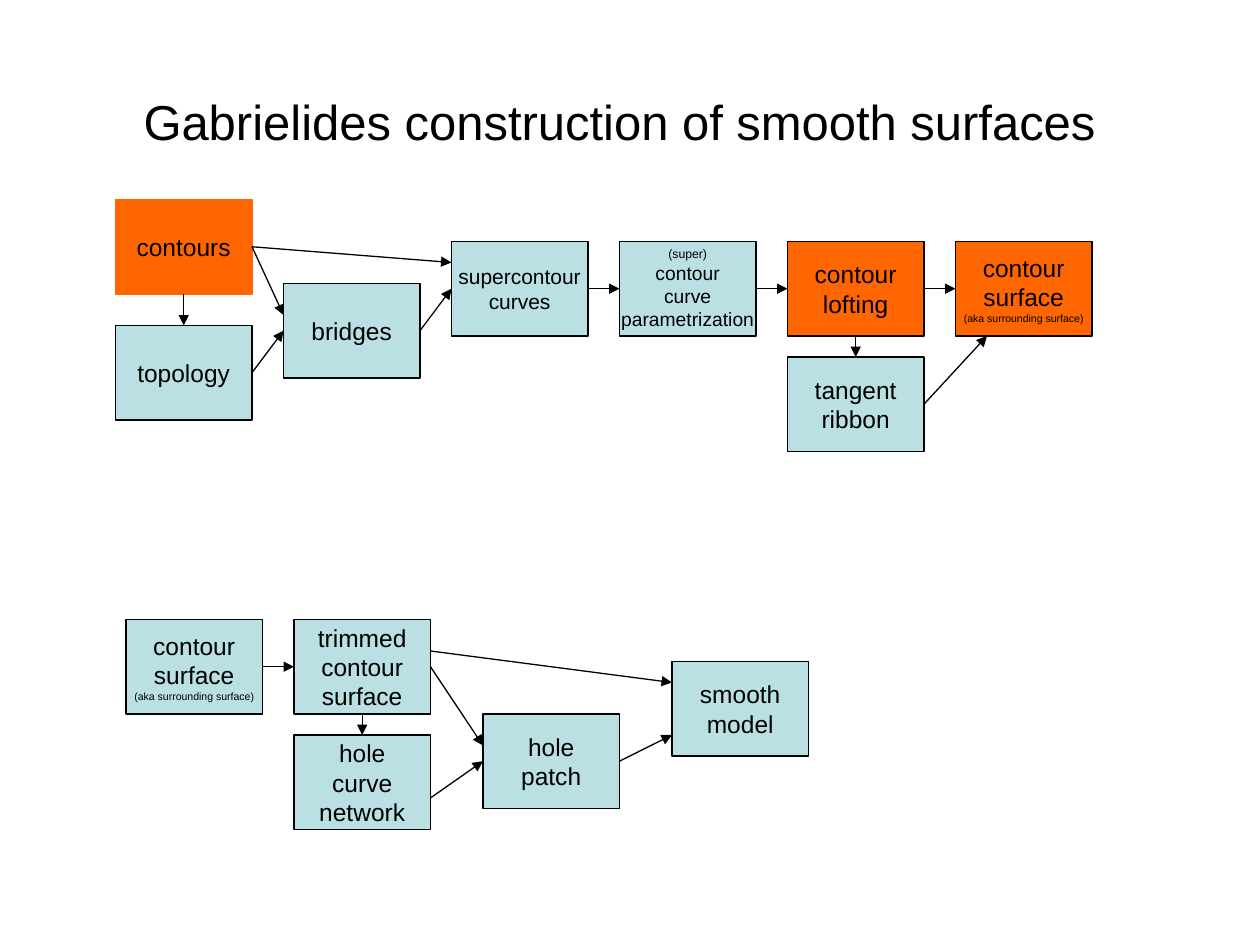
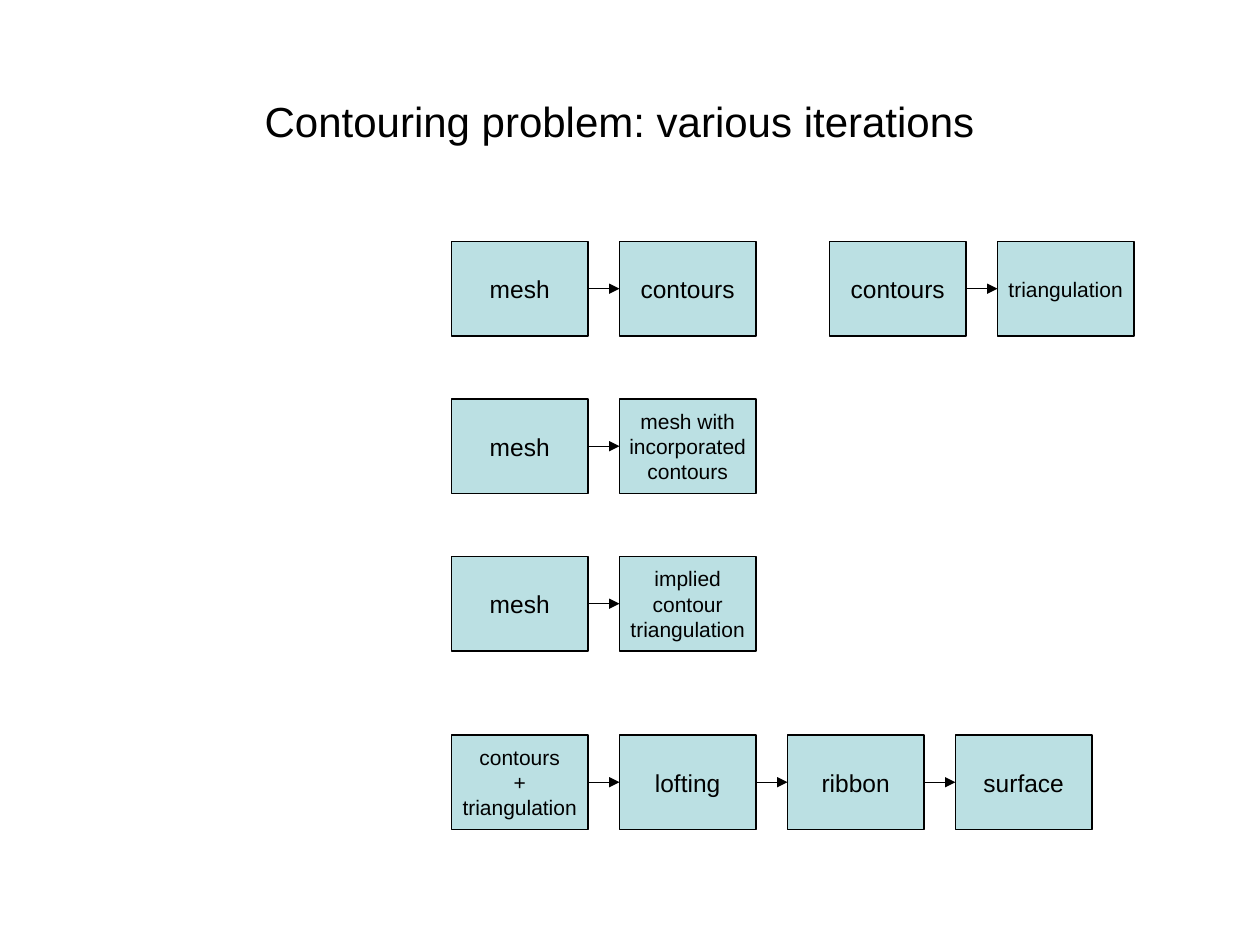
from dataclasses import dataclass
from itertools import pairwise

from lxml.etree import SubElement
from pptx import Presentation
from pptx.dml.color import RGBColor
from pptx.enum.shapes import MSO_CONNECTOR, MSO_SHAPE
from pptx.enum.text import MSO_ANCHOR, PP_ALIGN
from pptx.oxml.ns import qn
from pptx.util import Inches, Pt


@dataclass(frozen=True)
class Theme:
    font: str = "Arial"
    ink: str = "000000"
    pale: str = "BBE0E3"
    hot: str = "FF6600"
    stroke: float = 0.75
    large: int = 14
    mid: int = 12
    small: int = 11
    note: int = 7
    tiny: int = 6


THEME = Theme()

# The slide is a grid of 120 columns by 90 rows
WIDTH, HEIGHT = Inches(10), Inches(7.5)
UNIT = WIDTH // 120
BOX_W, BOX_H, PITCH = 13, 9, 16
TOP, LEFT, BOTTOM, RIGHT = range(4)


@dataclass(frozen=True)
class Label:
    lines: list
    fill: str = THEME.pale
    edge: str = THEME.ink


def lines(*words, size=THEME.large):
    return [(word, size) for word in words]


def plain(*words, size=THEME.large):
    return Label(lines(*words, size=size))


def tint(code):
    return RGBColor.from_string(code)


# Text
def write(frame, rows):
    frame.vertical_anchor = MSO_ANCHOR.MIDDLE
    for i, (words, size) in enumerate(rows):
        para = frame.add_paragraph() if i else frame.paragraphs[0]
        para.alignment = PP_ALIGN.CENTER
        run = para.add_run()
        run.text = words
        run.font.name = THEME.font
        run.font.size = Pt(size)
        run.font.color.rgb = tint(THEME.ink)


def add_title(slide, words, size):
    frame = slide.shapes.add_textbox(
        8 * UNIT, 4 * UNIT, 102 * UNIT, 15 * UNIT).text_frame
    frame.word_wrap = True
    write(frame, lines(words, size=size))


# Boxes
def add_box(slide, col, row, label):
    box = slide.shapes.add_shape(
        MSO_SHAPE.RECTANGLE, col * UNIT, row * UNIT, BOX_W * UNIT, BOX_H * UNIT)
    box.shadow.inherit = False
    box.fill.solid()
    box.fill.fore_color.rgb = tint(label.fill)
    box.line.color.rgb = tint(label.edge)
    box.line.width = Pt(THEME.stroke)
    box.text_frame.word_wrap = False
    write(box.text_frame, label.lines)
    return box


# Arrows: an end is a (box, side) to join or a (column, row) point
def is_joint(end):
    return not isinstance(end[0], int)


def locate(end):
    if not is_joint(end):
        return end[0] * UNIT, end[1] * UNIT
    box, side = end
    x, y = {TOP: (0.5, 0), LEFT: (0, 0.5), BOTTOM: (0.5, 1), RIGHT: (1, 0.5)}[side]
    return int(box.left + x * box.width), int(box.top + y * box.height)


def add_arrow(slide, tail, head):
    arrow = slide.shapes.add_connector(
        MSO_CONNECTOR.STRAIGHT, *locate(tail), *locate(head))
    if is_joint(tail):
        arrow.begin_connect(*tail)
    if is_joint(head):
        arrow.end_connect(*head)
    arrow.line.color.rgb = tint(THEME.ink)
    arrow.line.width = Pt(THEME.stroke)
    SubElement(arrow.line._get_or_add_ln(), qn("a:tailEnd"), type="triangle")
    SubElement(arrow._element.spPr, qn("a:effectLst"))


def add_chain(slide, col, row, *labels):
    boxes = [add_box(slide, col + i * PITCH, row, label)
             for i, label in enumerate(labels)]
    for one, two in pairwise(boxes):
        add_arrow(slide, (one, RIGHT), (two, LEFT))
    return boxes


def draw_build(slide):
    add_title(slide, "Gabrielides construction of smooth surfaces", 28)
    around = lines("contour", "surface") + lines(
        "(aka surrounding surface)", size=THEME.tiny)
    param = lines("(super)", size=THEME.note) + lines(
        "contour", "curve", "parametrization", size=THEME.small)

    # From contours to the contour surface
    source = add_box(slide, 11, 19, Label(lines("contours"), THEME.hot, THEME.hot))
    layout = add_box(slide, 11, 31, plain("topology"))
    bridge = add_box(slide, 27, 27, plain("bridges"))
    curves, _, loft, _ = add_chain(
        slide, 43, 23,
        plain("supercontour", "curves", size=THEME.mid),
        Label(param),
        Label(lines("contour", "lofting"), THEME.hot),
        Label(around, THEME.hot))
    ribbon = add_box(slide, 75, 34, plain("tangent", "ribbon"))

    # From the contour surface to the smooth model
    _, trim = add_chain(slide, 12, 59, Label(around),
                        plain("trimmed", "contour", "surface"))
    net = add_box(slide, 28, 70, plain("hole", "curve", "network"))
    patch = add_box(slide, 46, 68, plain("hole", "patch"))
    add_box(slide, 64, 63, plain("smooth", "model"))

    for tail, head in (
        ((source, BOTTOM), (layout, TOP)),
        ((source, RIGHT), (27, 30)),
        ((source, RIGHT), (43, 25)),
        ((layout, RIGHT), (bridge, LEFT)),
        ((bridge, RIGHT), (curves, LEFT)),
        ((loft, BOTTOM), (ribbon, TOP)),
        ((ribbon, RIGHT), (94, 32)),
        ((trim, BOTTOM), (net, TOP)),
        ((trim, RIGHT), (46, 71)),
        ((41, 62), (64, 65)),
        ((41, 76), (patch, LEFT)),
        ((patch, RIGHT), (64, 70)),
    ):
        add_arrow(slide, tail, head)


def draw_tries(slide):
    add_title(slide, "Contouring problem: various iterations", 24)
    mesh, mid = plain("mesh"), THEME.mid
    add_chain(slide, 43, 23, mesh, plain("contours"))
    add_chain(slide, 79, 23, plain("contours"), plain("triangulation", size=mid))
    add_chain(slide, 43, 38, mesh,
              plain("mesh with", "incorporated", "contours", size=mid))
    add_chain(slide, 43, 53, mesh,
              plain("implied", "contour", "triangulation", size=mid))
    add_chain(slide, 43, 70, plain("contours", "+", "triangulation", size=mid),
              plain("lofting"), plain("ribbon"), plain("surface"))


def main():
    deck = Presentation()
    deck.slide_width, deck.slide_height = WIDTH, HEIGHT
    for draw in (draw_build, draw_tries):
        draw(deck.slides.add_slide(deck.slide_layouts[6]))
    deck.save("out.pptx")


if __name__ == "__main__":
    main()
